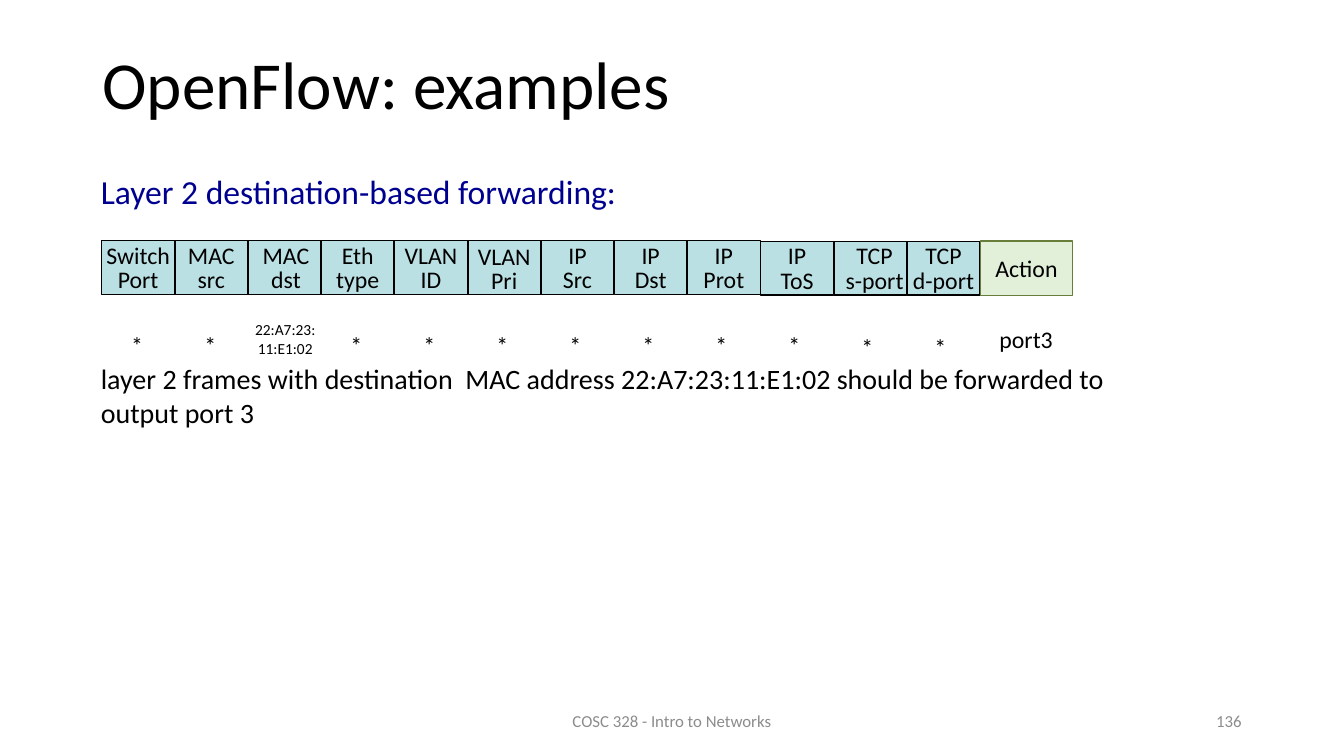
from pptx import Presentation
from pptx import util as u
from pptx.dml import color as c
from pptx.enum import shapes, text

LEFT, CENTER, RIGHT = text.PP_ALIGN.LEFT, text.PP_ALIGN.CENTER, text.PP_ALIGN.RIGHT
BLACK, NAVY, GREY = "000000", "000090", "8C8C8C"
TEAL, GREEN, OLIVE = "BBE0E3", "E2F0D9", "697D3A"
NO_INSETS = (0, 0, 0, 0)
DEFAULT_INSETS = (7.2, 3.6, 7.2, 3.6)


def color(value):
    return c.RGBColor.from_string(value)


class FlowSlide:
    font_name = "Calibri"

    def __init__(self, presentation):
        self.slide = presentation.slides.add_slide(presentation.slide_layouts[6])

    def set_text(self, shape, content, size, ink, align, insets, spacing=None, wrap=True):
        frame = shape.text_frame
        frame.word_wrap = wrap
        frame.vertical_anchor = text.MSO_ANCHOR.MIDDLE
        frame.margin_left, frame.margin_top, frame.margin_right, frame.margin_bottom = map(u.Pt, insets)
        frame.text = content
        for paragraph in frame.paragraphs:
            paragraph.alignment = align
            if spacing:
                paragraph.line_spacing = spacing
            paragraph.font.name = self.font_name
            paragraph.font.size = u.Pt(size)
            paragraph.font.color.rgb = color(ink)

    def text_box(self, box, content, size, ink=BLACK, align=LEFT, insets=NO_INSETS, **options):
        shape = self.slide.shapes.add_textbox(*map(u.Pt, box))
        self.set_text(shape, content, size, ink, align, insets, **options)

    def header_cell(self, box, label, fill=TEAL, line=BLACK, insets=NO_INSETS):
        shape = self.slide.shapes.add_shape(shapes.MSO_SHAPE.RECTANGLE, *map(u.Pt, box))
        shape.shadow.inherit = False
        shape.fill.solid()
        shape.fill.fore_color.rgb = color(fill)
        shape.line.color.rgb = color(line)
        shape.line.width = u.Pt(1)
        self.set_text(shape, label, 17, BLACK, CENTER, insets, spacing=0.85)


FIELDS = [
    ("Switch\nPort", 0), ("MAC\nsrc", 0), ("MAC\ndst", 2), ("Eth\ntype", 0),
    ("VLAN\nID", 0), ("VLAN\nPri", 0), ("IP\nSrc", 0), ("IP\nDst", 0),
    ("IP\nProt", 0), ("IP\nToS", 0), ("TCP\ns-port", 6), ("TCP\nd-port", 0),
]
ADDRESS_COLUMN, PRIORITY_COLUMN = 2, 5
FIRST_LOW_CELL, FIRST_LOW_VALUE = 9, 10


def main():
    presentation = Presentation()
    presentation.slide_width, presentation.slide_height = u.Pt(960), u.Pt(540)
    page = FlowSlide(presentation)

    page.text_box((66, 27.4, 828, 70.6), "OpenFlow: examples", 48,
                  insets=DEFAULT_INSETS, spacing=0.9)
    page.text_box((72, 122.4, 372, 28.8), "Layer 2 destination-based forwarding:", 24,
                  NAVY, wrap=False)
    page.text_box((72, 258.5, 736, 48.2),
                  "layer 2 frames with destination  MAC address 22:A7:23:11:E1:02 "
                  "should be forwarded to output port 3", 20)

    for column, (label, shift) in enumerate(FIELDS):
        top = 172.6 if column >= FIRST_LOW_CELL else 172
        drop = 4 if column == PRIORITY_COLUMN else 2
        page.header_cell((72.7 + 52.3 * column, top, 52, 38.2), label,
                         insets=(shift, drop, 0, 0))
        left = 72 + 52.15 * column
        if column == ADDRESS_COLUMN:
            page.text_box((left + 1.5, 229.7, 52, 24.5), "22:A7:23:\n11:E1:02", 11, align=CENTER)
        else:
            top = 235.4 if column >= FIRST_LOW_VALUE else 234
            page.text_box((left, top, 52, 25.2), "*", 17, align=CENTER)

    page.header_cell((700.4, 172.3, 65.7, 38.9), "Action", GREEN, OLIVE, (0, 2, 0, 0))
    page.text_box((707, 229.7, 52, 25.2), "port3", 17, align=CENTER)

    page.text_box((318, 500.5, 324, 28.8), "COSC 328 - Intro to Networks", 12, GREY,
                  CENTER, DEFAULT_INSETS)
    page.text_box((678, 500.5, 216, 28.8), "136", 12, GREY, RIGHT, DEFAULT_INSETS)
    presentation.save("out.pptx")


if __name__ == "__main__":
    main()
